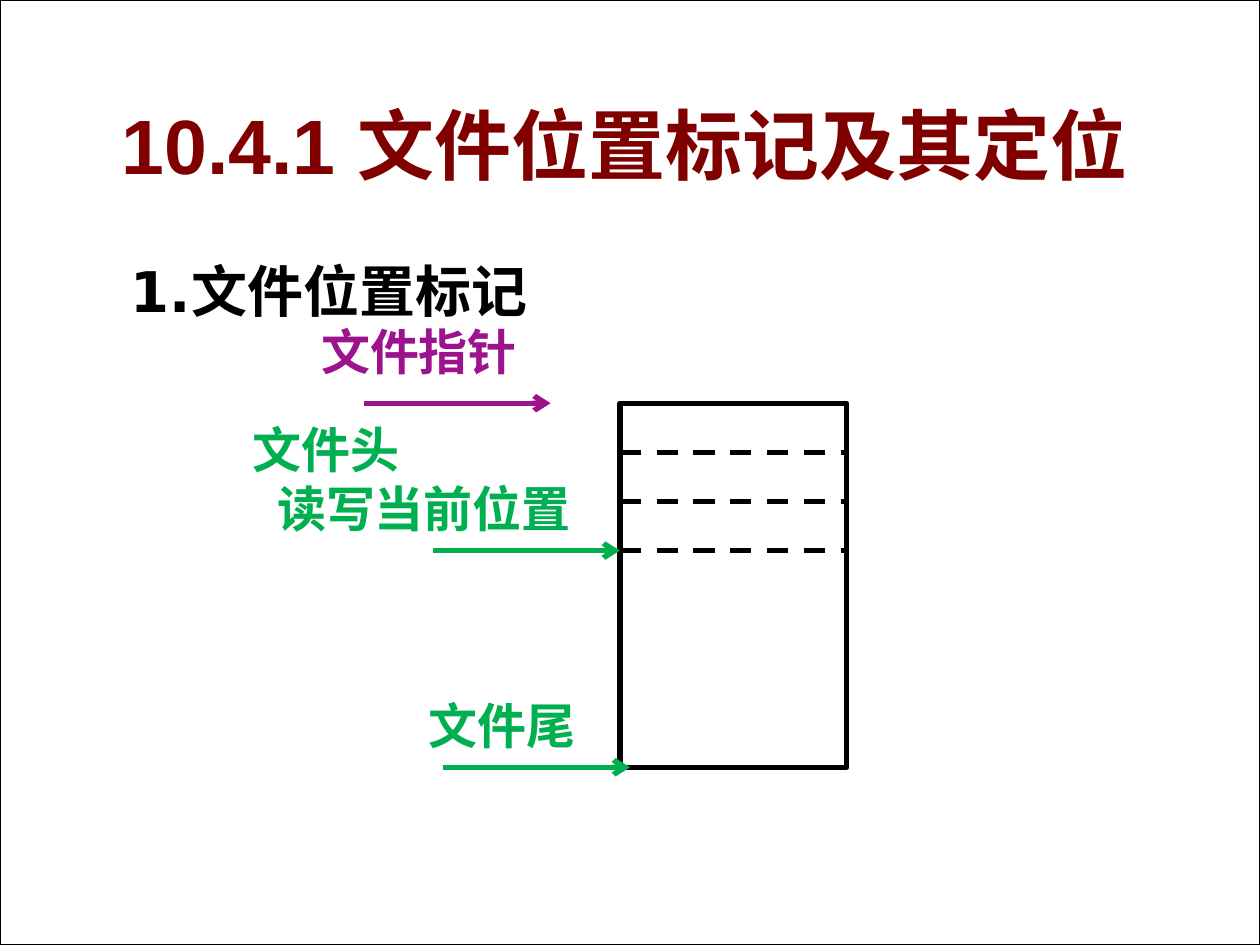
from dataclasses import dataclass

from lxml import etree
from pptx import Presentation
from pptx.dml.color import RGBColor
from pptx.enum.dml import MSO_LINE
from pptx.enum.shapes import MSO_CONNECTOR, MSO_SHAPE
from pptx.enum.text import MSO_ANCHOR, MSO_AUTO_SIZE, PP_ALIGN
from pptx.oxml import parse_xml
from pptx.oxml.ns import nsdecls, qn
from pptx.util import Inches, Pt

CENTER, LEFT = PP_ALIGN.CENTER, PP_ALIGN.LEFT
MIDDLE = MSO_ANCHOR.MIDDLE
GROW = MSO_AUTO_SIZE.SHAPE_TO_FIT_TEXT
RECT = MSO_SHAPE.RECTANGLE
STRAIGHT = MSO_CONNECTOR.STRAIGHT
DASH = MSO_LINE.DASH
TITLE_ONLY = 5


@dataclass(frozen=True)
class Theme:
    font: str = "Arial"
    heading_font: str = "DejaVu Sans"
    title_size: int = 44
    heading_size: int = 32
    label_size: int = 28
    line_width: float = 3
    frame_width: float = 0.75
    background: str = "F36721"
    panel: str = "FFFFFF"
    title: str = "800000"
    ink: str = "000000"
    pointer: str = "9D138D"
    marker: str = "00B050"


class SlideBuilder:
    def __init__(self, prs, theme):
        self.theme = theme
        self.s = prs.slides.add_slide(prs.slide_layouts[TITLE_ONLY])
        fill = self.s.background.fill
        fill.solid()
        fill.fore_color.rgb = RGBColor.from_string(theme.background)

    def run(self, p, text, size, color, font):
        r = p.add_run()
        r.text = text
        r.font.name, r.font.size, r.font.bold = font, Pt(size), True
        r.font.color.rgb = RGBColor.from_string(color)
        return r

    def stroke(self, sp, color, width):
        sp.line.color.rgb = RGBColor.from_string(color)
        sp.line.width = Pt(width)

    def panel(self, width, height):
        """Add the framed page behind everything else."""
        sp = self.s.shapes.add_shape(RECT, 0, 0, width, height)
        sp.shadow.inherit = False
        sp.fill.solid()
        sp.fill.fore_color.rgb = RGBColor.from_string(self.theme.panel)
        self.stroke(sp, self.theme.ink, self.theme.frame_width)
        self.s.shapes._spTree.insert(2, sp._element)

    def title(self, text, x, y, w, h):
        t, sp = self.theme, self.s.shapes.title
        sp.left, sp.top, sp.width, sp.height = map(Inches, (x, y, w, h))
        tf = sp.text_frame
        tf.vertical_anchor, tf.auto_size = MIDDLE, GROW
        p = tf.paragraphs[0]
        p.alignment = CENTER
        r = self.run(p, text, t.title_size, t.title, t.font)
        shadow = parse_xml(
            f'<a:effectLst {nsdecls("a")}><a:outerShdw dist="35921" dir="2700000">'
            '<a:srgbClr val="C0C0C0"/></a:outerShdw></a:effectLst>')
        r.font._element.find(qn("a:solidFill")).addnext(shadow)

    def text_box(self, x, y, w, h):
        tf = self.s.shapes.add_textbox(*map(Inches, (x, y, w, h))).text_frame
        tf.word_wrap = True
        return tf

    def heading(self, text, x, y, w, h):
        t = self.theme
        p = self.text_box(x, y, w, h).paragraphs[0]
        p.alignment, p.line_spacing = LEFT, 1.2
        p.space_before = Pt(0.2 * t.heading_size)
        pPr = p._p.get_or_add_pPr()
        pPr.set("marL", str(Inches(0.38)))
        pPr.set("indent", str(-Inches(0.38)))
        self.run(p, text, t.heading_size, t.ink, t.heading_font)

    def label(self, text, x, y, w, color):
        t = self.theme
        tf = self.text_box(x, y, w, 0.57)
        tf.auto_size = GROW
        p = tf.paragraphs[0]
        p.alignment = CENTER
        self.run(p, text, t.label_size, color, t.font)

    def h_line(self, shapes, x, y, length, color):
        ends = map(Inches, (x, y, x + length, y))
        line = shapes.add_connector(STRAIGHT, *ends)
        self.stroke(line, color, self.theme.line_width)
        etree.SubElement(line._element.spPr, qn("a:effectLst"))
        return line

    def arrow(self, x, y, length, color):
        line = self.h_line(self.s.shapes, x, y, length, color)
        etree.SubElement(line.line._get_or_add_ln(), qn("a:tailEnd"), type="arrow")

    def file_block(self, x, y, w, h, row_ys):
        """Add the file as a grouped outline with dashed row borders."""
        shapes = self.s.shapes.add_group_shape().shapes
        sp = shapes.add_shape(RECT, *map(Inches, (x, y, w, h)))
        sp.shadow.inherit = False
        sp.fill.background()
        self.stroke(sp, self.theme.ink, self.theme.line_width)
        for row_y in row_ys:
            line = self.h_line(shapes, x, row_y, w, self.theme.ink)
            line.line.dash_style = DASH


def main():
    prs = Presentation()
    prs.slide_width, prs.slide_height = Inches(10), Inches(7.5)
    theme = Theme()
    b = SlideBuilder(prs, theme)
    b.panel(prs.slide_width, prs.slide_height)
    b.title("10.4.1 文件位置标记及其定位", 0.31, 0.72, 9.3, 0.84)

    top, row, height = 3.2, 0.39, 2.89
    current, bottom = top + 3 * row, top + height
    b.file_block(4.92, top, 1.8, height, [top + i * row for i in (1, 2, 3)])

    b.heading("1.文件位置标记", 0.94, 1.88, 8.36, 0.7)
    for text, x, y, w, color in (
        ("文件指针", 2.27, 2.5, 2.11, theme.pointer),
        ("文件头", 1.88, 3.28, 1.41, theme.marker),
        ("读写当前位置", 1.88, 3.75, 2.97, theme.marker),
        ("文件尾", 3.28, 5.47, 1.41, theme.marker),
    ):
        b.label(text, x, y, w, color)
    for x, y, color in (
        (2.89, top, theme.pointer),
        (3.44, current, theme.marker),
        (3.52, bottom, theme.marker),
    ):
        b.arrow(x, y, 1.48, color)

    prs.save("out.pptx")


if __name__ == "__main__":
    main()
